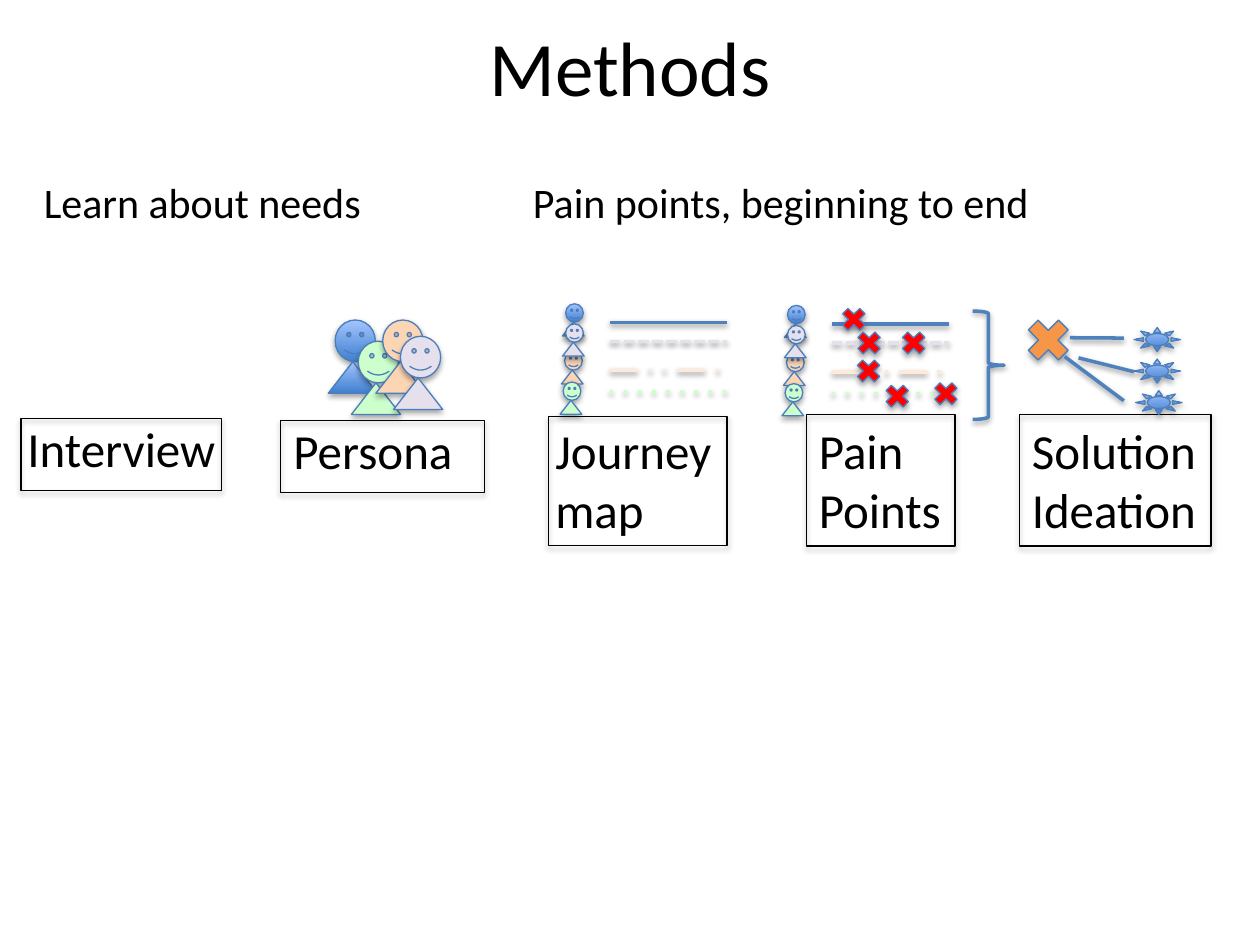
from dataclasses import dataclass

from lxml import etree
from pptx import Presentation
from pptx.dml.color import RGBColor
from pptx.enum.shapes import MSO_CONNECTOR, MSO_SHAPE
from pptx.enum.text import MSO_ANCHOR, MSO_AUTO_SIZE, PP_ALIGN
from pptx.oxml import parse_xml
from pptx.util import Pt

RECTANGLE = MSO_SHAPE.RECTANGLE
SMILEY = MSO_SHAPE.SMILEY_FACE
TRIANGLE = MSO_SHAPE.ISOSCELES_TRIANGLE
CROSS = MSO_SHAPE.MATH_MULTIPLY
SUN = MSO_SHAPE.SUN
BRACE = MSO_SHAPE.RIGHT_BRACE
STRAIGHT = MSO_CONNECTOR.STRAIGHT
MIDDLE = MSO_ANCHOR.MIDDLE
TOP = MSO_ANCHOR.TOP
CENTER = PP_ALIGN.CENTER
LEFT = PP_ALIGN.LEFT
FIT_TEXT = MSO_AUTO_SIZE.SHAPE_TO_FIT_TEXT
NO_AUTOFIT = MSO_AUTO_SIZE.NONE

FONT = "Calibri"
BLACK, OUTLINE, BLUE = "000000", "4B7EBC", "4F81BD"
GREEN, PEACH, LILAC = "CCFFCC", "FCD5B5", "E6E0EC"
PALE_PEACH, RED, ORANGE = "FDEADA", "FF0000", "F79646"
GRADIENT = ("3F80CE", "A4C4FF")
DRAWING = "http://schemas.openxmlformats.org/drawingml/2006/main"


@dataclass
class Box:
    left: float
    top: float
    width: float
    height: float

    def lengths(self):
        return Pt(self.left), Pt(self.top), Pt(self.width), Pt(self.height)


@dataclass
class Label:
    lines: list[str]
    box: Box
    size: int = 28


@dataclass
class Person:
    left: float
    top: float
    color: str | None = None


@dataclass
class Track:
    top: float
    color: str
    dash: str | None = None


def rgb(color: str) -> RGBColor:
    return RGBColor.from_string(color)


def add_shadow(shape, distance: float, opacity: int) -> None:
    effects = parse_xml(
        f'<a:effectLst xmlns:a="{DRAWING}"><a:outerShdw blurRad="{Pt(3.15)}" '
        f'dist="{Pt(distance)}" dir="5400000" rotWithShape="0"><a:srgbClr val="{BLACK}">'
        f'<a:alpha val="{opacity * 1000}"/></a:srgbClr></a:outerShdw></a:effectLst>'
    )
    shape._element.spPr.append(effects)


def add_figure(shapes, kind: MSO_SHAPE, box: Box, fill: str | None = None,
               line: str = OUTLINE, width: float = 0.75, gradient: bool = False) -> None:
    shape = shapes.add_shape(kind, *box.lengths())
    if gradient:
        shape.fill.gradient()
        shape.fill.gradient_angle = 90
        for stop, color in zip(shape.fill.gradient_stops, GRADIENT):
            stop.color.rgb = rgb(color)
    elif fill:
        shape.fill.solid()
        shape.fill.fore_color.rgb = rgb(fill)
    else:
        shape.fill.background()
    shape.line.color.rgb = rgb(line)
    shape.line.width = Pt(width)
    add_shadow(shape, 1.8, 35)


def add_line(shapes, start: tuple[float, float], end: tuple[float, float],
             color: str = BLUE, dash: str | None = None) -> None:
    connector = shapes.add_connector(STRAIGHT, *map(Pt, start + end))
    connector.line.color.rgb = rgb(color)
    connector.line.width = Pt(2)
    if dash:
        outline = connector._element.spPr.find(f"{{{DRAWING}}}ln")
        etree.SubElement(outline, f"{{{DRAWING}}}prstDash", val=dash)
    add_shadow(connector, 1.6, 38)


def write_lines(frame, lines: list[str], size: int, alignment: PP_ALIGN = LEFT) -> None:
    for index, line in enumerate(lines):
        paragraph = frame.add_paragraph() if index else frame.paragraphs[0]
        paragraph.alignment = alignment
        run = paragraph.add_run()
        run.text = line
        run.font.name = FONT
        run.font.size = Pt(size)
        run.font.color.rgb = rgb(BLACK)


def add_label(shapes, label: Label) -> None:
    frame = shapes.add_textbox(*label.box.lengths()).text_frame
    frame.word_wrap = False
    frame.auto_size = FIT_TEXT
    frame.vertical_anchor = TOP
    write_lines(frame, label.lines, label.size)


def add_person(shapes, person: Person, scale: float = 1, dx: float = 0, dy: float = 0) -> None:
    group = shapes.add_group_shape().shapes
    left, top = person.left + dx, person.top + dy
    head = Box(left, top, 23 * scale, 23.8 * scale)
    body = Box(left - 3.9 * scale, top + 23.8 * scale, 28.1 * scale, 18 * scale)
    for kind, box in ((SMILEY, head), (TRIANGLE, body)):
        add_figure(group, kind, box, person.color, gradient=person.color is None)


def add_journey(shapes, dx: float, dy: float) -> None:
    *behind, front = JOURNEY_PEOPLE
    for person in behind:
        add_person(shapes, person, 0.44, dx, dy)
    for track in TRACKS:
        y = track.top + dy
        add_line(shapes, (348.5 + dx, y), (415.4 + dx, y), track.color, track.dash)
    add_person(shapes, front, 0.44, dx, dy)


METHODS = [
    Label(["Interview"], Box(8.6, 235.4, 123.1, 41.2)),
    Label(["Persona"], Box(160.6, 236.9, 106.6, 41.2)),
    Label(["Journey ", "map"], Box(310.3, 236.9, 105.1, 75.1)),
    Label(["Solution", "Ideation"], Box(582.5, 236.9, 109.4, 75.1)),
    Label(["Pain", "Points"], Box(460.8, 236.9, 85, 75.1)),
]
FRAMES = [
    Box(12, 239, 114.5, 41.2),
    Box(160.4, 240.3, 116.6, 41.2),
    Box(313.3, 237.8, 102.1, 74),
    Box(582.7, 236.9, 109.4, 75.1),
    Box(460.8, 236.9, 85, 75.1),
]
HEADINGS = [
    Label(["Learn about needs"], Box(18, 97.2, 197.3, 36), 24),
    Label(["Pain points, beginning to end"], Box(297.4, 97.2, 301, 36), 24),
]
PERSONA_PEOPLE = [
    Person(191.5, 182.9), Person(204.7, 195, GREEN),
    Person(218.7, 182.9, PEACH), Person(228.8, 192.2, LILAC),
]
JOURNEY_PEOPLE = [
    Person(323.2, 173.6), Person(322.6, 201, PEACH),
    Person(323.2, 185.1, LILAC), Person(321.8, 218.3, GREEN),
]
TRACKS = [
    Track(184.3, BLUE), Track(195.2, LILAC, "sysDash"),
    Track(211.7, PALE_PEACH, "lgDashDotDot"), Track(223.9, GREEN, "dot"),
]
PAIN_POINTS = [(478.6, 173.5), (487.3, 187), (512.8, 187),
               (487, 203), (503.4, 217.4), (531.2, 216)]
SUNS = [(648, 187.2), (648, 205.2), (648.9, 223.2)]
IDEA_LINES = [((611.3, 193), (642.2, 193.2)), ((616.3, 204.5), (648, 212.4)),
              ((608.4, 203.8), (642.2, 229))]

presentation = Presentation()
presentation.slide_width, presentation.slide_height = Pt(720), Pt(540)
slide = presentation.slides.add_slide(presentation.slide_layouts[5])
shapes = slide.shapes

title = shapes.title
title.left, title.top, title.width, title.height = Box(36, -7.2, 648, 90).lengths()
title.text_frame.vertical_anchor = MIDDLE
title.text_frame.auto_size = NO_AUTOFIT
write_lines(title.text_frame, ["Methods"], 44, CENTER)

for label in METHODS + HEADINGS:
    add_label(shapes, label)
for box in FRAMES:
    add_figure(shapes, RECTANGLE, box, line=BLACK)
for person in PERSONA_PEOPLE:
    add_person(shapes, person)
for dx, dy in ((0, 0), (126.8, 0.9)):
    add_journey(shapes, dx, dy)
for left, top in PAIN_POINTS:
    add_figure(shapes, CROSS, Box(left, top, 18.7, 18), RED)
add_figure(shapes, CROSS, Box(582.5, 177.8, 33.1, 33.1), ORANGE)
for left, top in SUNS:
    add_figure(shapes, SUN, Box(left, top, 26.6, 13.7), gradient=True)
for start, end in IDEA_LINES:
    add_line(shapes, start, end)
add_figure(shapes, BRACE, Box(555.8, 177.8, 18, 61.9), line=BLUE, width=2)

presentation.save("out.pptx")
